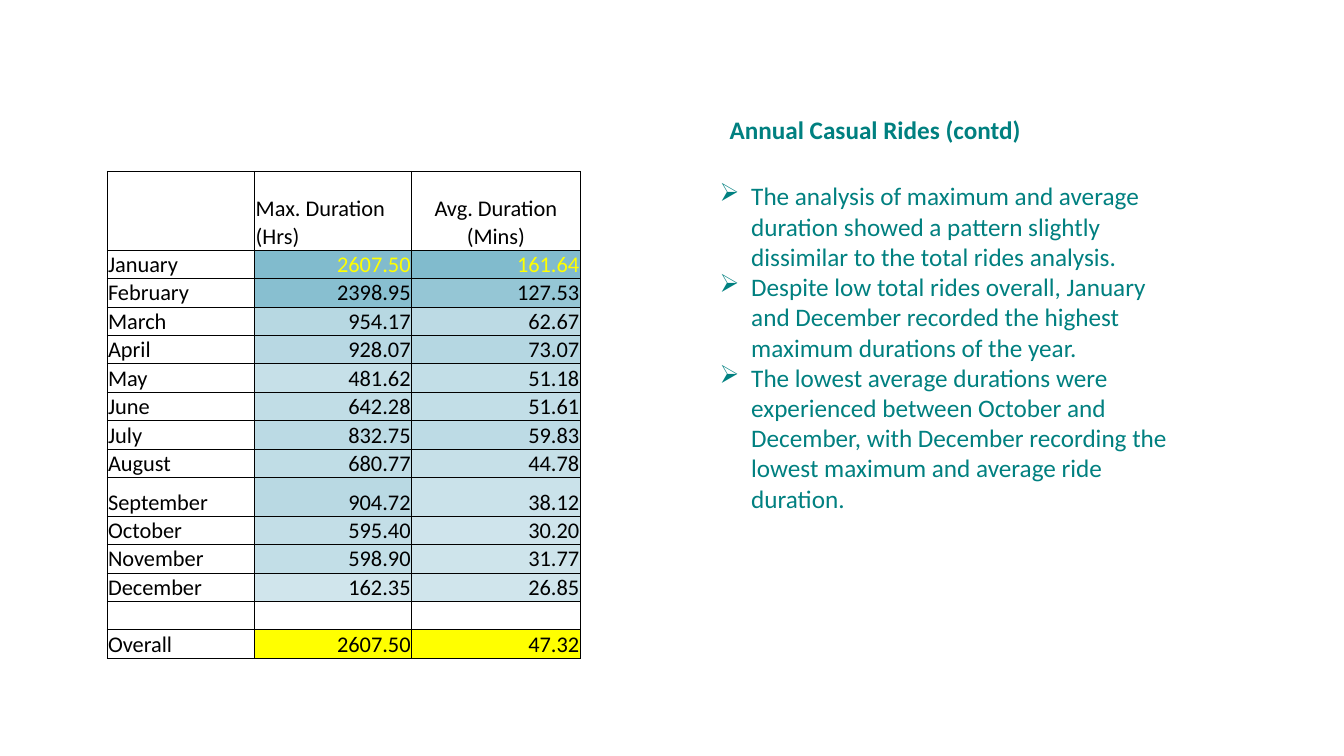
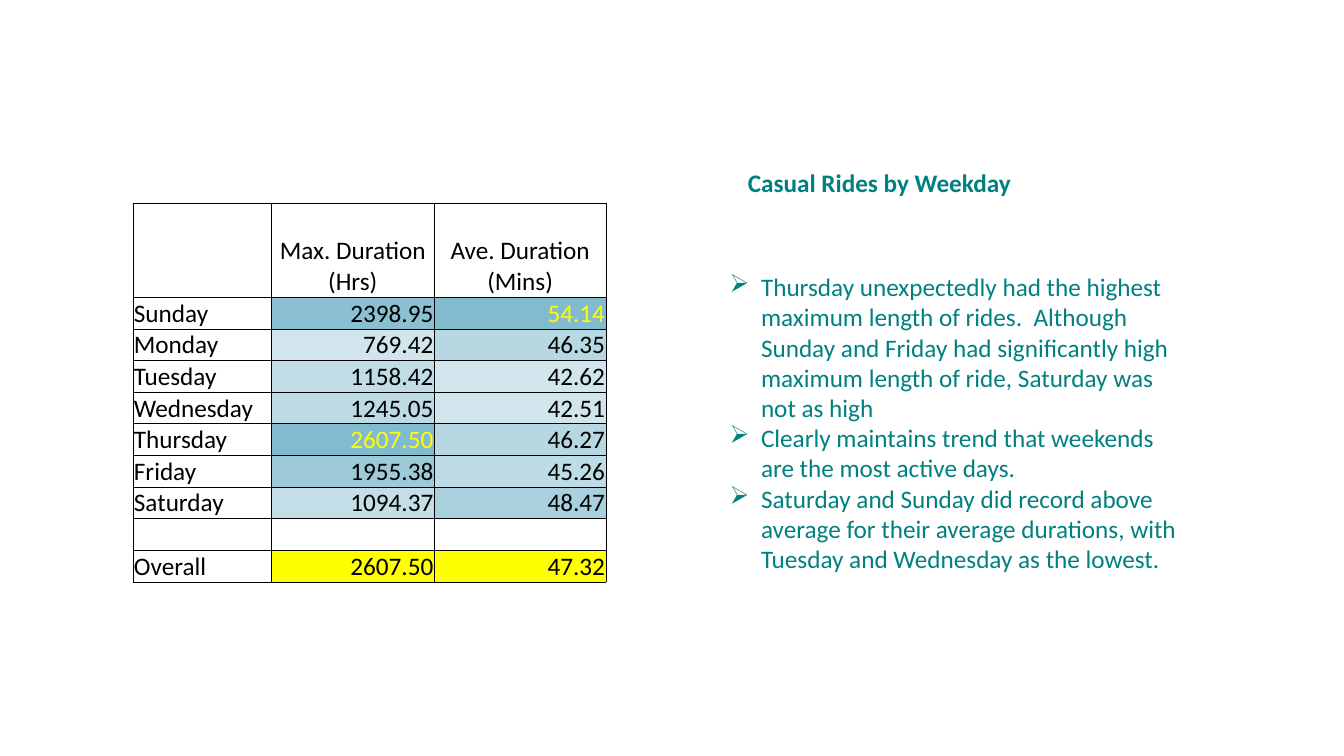
from dataclasses import dataclass

from lxml.etree import SubElement
from pptx import Presentation
from pptx.dml.color import RGBColor
from pptx.enum.text import MSO_ANCHOR, MSO_AUTO_SIZE, PP_ALIGN
from pptx.oxml.ns import qn
from pptx.util import Pt


@dataclass(frozen=True)
class Theme:
    font: str = "Calibri"
    text_size: int = 18
    accent: RGBColor = RGBColor(0x00, 0x80, 0x80)
    ink: RGBColor = RGBColor(0x00, 0x00, 0x00)
    highlight: RGBColor = RGBColor(0xFF, 0xFF, 0x00)
    scale_low: RGBColor = RGBColor(0xD0, 0xE5, 0xEC)
    scale_high: RGBColor = RGBColor(0x81, 0xBB, 0xCD)
    border_width: float = 0.5
    cell_inset: float = 0.7
    bullet: str = "➢"
    bullet_indent: float = 22.5


class RideDeck:
    def __init__(self, theme):
        self.theme = theme
        self.presentation = Presentation()
        self.presentation.slide_width = Pt(960)
        self.presentation.slide_height = Pt(540)
        self.slide = None

    def add_slide(self):
        title_only = self.presentation.slide_layouts[5]
        self.slide = self.presentation.slides.add_slide(title_only)

    def style(self, paragraph, color, size=None, bold=False):
        font = paragraph.font
        font.name = self.theme.font
        font.size = Pt(size or self.theme.text_size)
        font.bold = bold
        font.color.rgb = color

    def add_title(self, text, left, top):
        shape = self.slide.shapes.title
        shape.left, shape.top = Pt(left), Pt(top)
        shape.width, shape.height = Pt(262), Pt(29)
        frame = shape.text_frame
        frame.text = text
        frame.auto_size = MSO_AUTO_SIZE.NONE
        frame.vertical_anchor = MSO_ANCHOR.TOP
        paragraph = frame.paragraphs[0]
        paragraph.alignment = PP_ALIGN.LEFT
        self.style(paragraph, self.theme.accent, bold=True)

    def add_bullets(self, texts, left, top, height):
        shape = self.slide.shapes.add_textbox(Pt(left), Pt(top), Pt(337.7), Pt(height))
        frame = shape.text_frame
        frame.word_wrap = True
        frame.text = "\n".join(texts)
        indent = Pt(self.theme.bullet_indent)
        for paragraph in frame.paragraphs:
            properties = paragraph._p.get_or_add_pPr()
            properties.set("marL", str(indent))
            properties.set("indent", str(-indent))
            SubElement(properties, qn("a:buChar"), char=self.theme.bullet)
            self.style(paragraph, self.theme.accent)

    def scale_color(self, value, column):
        share = (value - min(column)) / (max(column) - min(column))
        ends = zip(self.theme.scale_low, self.theme.scale_high)
        return RGBColor(*(low - int((low - high) * share) for low, high in ends))

    def add_borders(self, cell):
        properties = cell._tc.get_or_add_tcPr()
        for side in ("lnL", "lnR", "lnT", "lnB"):
            line = SubElement(properties, qn(f"a:{side}"), w=str(Pt(self.theme.border_width)))
            fill = SubElement(line, qn("a:solidFill"))
            SubElement(fill, qn("a:srgbClr"), val=str(self.theme.ink))

    def set_cell(self, cell, text, size, alignment, fill=None, color=None):
        self.add_borders(cell)
        cell.margin_left = cell.margin_right = cell.margin_top = Pt(self.theme.cell_inset)
        cell.margin_bottom = 0
        cell.vertical_anchor = MSO_ANCHOR.BOTTOM
        if fill is None:
            cell.fill.background()
        else:
            cell.fill.solid()
            cell.fill.fore_color.rgb = fill
        cell.text = text
        paragraph = cell.text_frame.paragraphs[0]
        paragraph.alignment = alignment
        self.style(paragraph, color or self.theme.ink, size)

    def add_duration_table(self, headers, header_alignments, records, overall,
                           left, top, widths, heights, size):
        shape = self.slide.shapes.add_table(
            len(heights), len(widths), Pt(left), Pt(top), Pt(sum(widths)), Pt(sum(heights)))
        table = shape.table
        table.first_row = table.horz_banding = False
        for column, width in zip(table.columns, widths):
            column.width = Pt(width)
        for row, height in zip(table.rows, heights):
            row.height = Pt(height)

        blank_row = len(records) + 1
        overall_row = blank_row + 1
        labels = ["", *(record[0] for record in records), "", "Overall"]
        for row, label in enumerate(labels):
            self.set_cell(table.cell(row, 0), label, size, PP_ALIGN.LEFT)
        for index, header in enumerate(headers, 1):
            values = [record[index] for record in records]
            self.set_cell(table.cell(0, index), header, size, header_alignments[index - 1])
            for row, value in enumerate(values, 1):
                color = self.theme.highlight if value == max(values) else self.theme.ink
                self.set_cell(table.cell(row, index), f"{value:.2f}", size, PP_ALIGN.RIGHT,
                              self.scale_color(value, values), color)
            self.set_cell(table.cell(blank_row, index), "", size, PP_ALIGN.RIGHT)
            self.set_cell(table.cell(overall_row, index), f"{overall[index - 1]:.2f}", size,
                          PP_ALIGN.RIGHT, self.theme.highlight)


OVERALL = (2607.50, 47.32)

MONTHS = [
    ("January", 2607.50, 161.64),
    ("February", 2398.95, 127.53),
    ("March", 954.17, 62.67),
    ("April", 928.07, 73.07),
    ("May", 481.62, 51.18),
    ("June", 642.28, 51.61),
    ("July", 832.75, 59.83),
    ("August", 680.77, 44.78),
    ("September", 904.72, 38.12),
    ("October", 595.40, 30.20),
    ("November", 598.90, 31.77),
    ("December", 162.35, 26.85),
]

WEEKDAYS = [
    ("Sunday", 2398.95, 54.14),
    ("Monday", 769.42, 46.35),
    ("Tuesday", 1158.42, 42.62),
    ("Wednesday", 1245.05, 42.51),
    ("Thursday", 2607.50, 46.27),
    ("Friday", 1955.38, 45.26),
    ("Saturday", 1094.37, 48.47),
]


def main():
    deck = RideDeck(Theme())

    deck.add_slide()
    deck.add_duration_table(
        ("Max. Duration (Hrs)", "Avg. Duration (Mins)"), (PP_ALIGN.LEFT, PP_ALIGN.CENTER),
        MONTHS, OVERALL, left=76.5, top=122.3, widths=(105.5, 112, 120.5),
        heights=[56.4] + [20.3] * 8 + [27.6] + [20.3] * 5, size=16)
    deck.add_title("Annual Casual Rides (contd)", 514, 78)
    deck.add_bullets([
        "The analysis of maximum and average duration showed a pattern slightly dissimilar "
        "to the total rides analysis.",
        "Despite low total rides overall, January and December recorded the highest maximum "
        "durations of the year.",
        "The lowest average durations were experienced between October and December, with "
        "December recording the lowest maximum and average ride duration.",
    ], 507, 125.5, 291)

    deck.add_slide()
    deck.add_title("Casual Rides by Weekday", 527, 116)
    deck.add_bullets([
        "Thursday unexpectedly had the highest maximum length of rides.  Although Sunday and "
        "Friday had significantly high maximum length of ride, Saturday was not as high",
        "Clearly maintains trend that weekends are the most active days.",
        "Saturday and Sunday did record above average for their average durations, with "
        "Tuesday and Wednesday as the lowest.",
    ], 514, 190.3, 247)
    deck.add_duration_table(
        ("Max. Duration (Hrs)", "Ave. Duration (Mins)"), (PP_ALIGN.CENTER, PP_ALIGN.CENTER),
        WEEKDAYS, OVERALL, left=95, top=145, widths=(98.7, 116.6, 122.6),
        heights=[67.3] + [22.6] * 9, size=18)

    deck.presentation.save("out.pptx")


if __name__ == "__main__":
    main()
